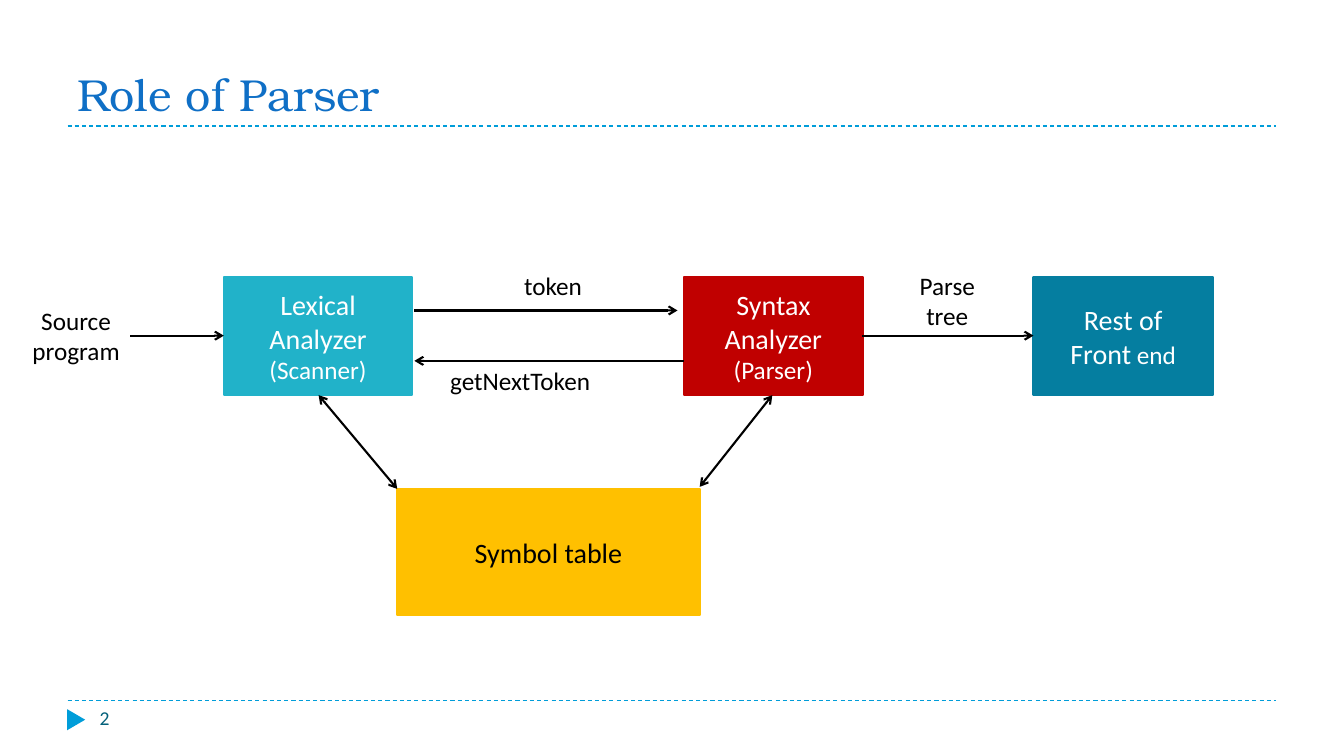
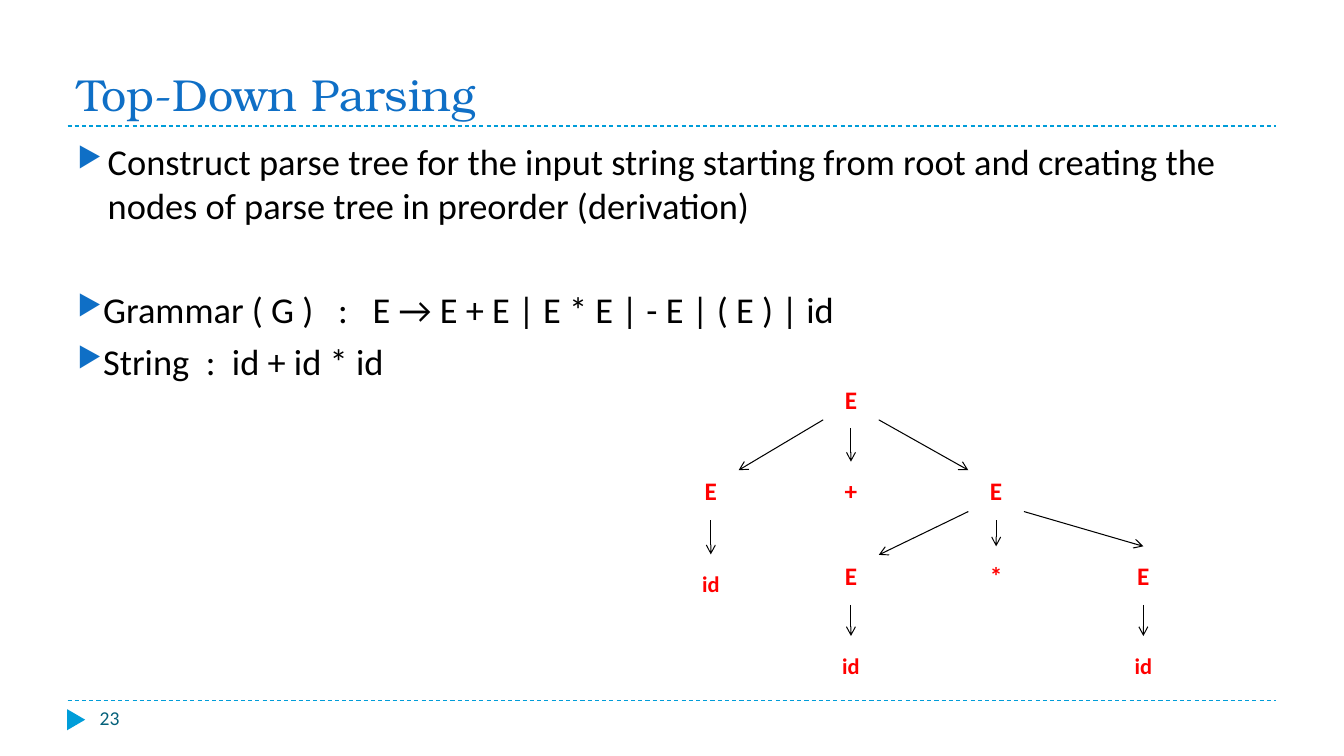
from math import sqrt
from lxml import etree
from pptx import Presentation, util as u
from pptx.dml.color import RGBColor
from pptx.enum import dml, shapes, text
from pptx.oxml.ns import qn

BLACK = RGBColor(0, 0, 0)
WHITE = RGBColor(255, 255, 255)
BLUE = RGBColor(0x0F, 0x6F, 0xC6)
RULE = RGBColor(0x00, 0x9D, 0xD9)
DARK_TEAL = RGBColor(0x04, 0x61, 0x7B)
CYAN = RGBColor(0x21, 0xB2, 0xC9)
CRIMSON = RGBColor(0xC0, 0, 0)
GOLD = RGBColor(0xFF, 0xC0, 0)
TEAL = RGBColor(0x05, 0x7E, 0xA0)
RED = RGBColor(255, 0, 0)
BODY, HEADING = "Calibri", "TeX Gyre Bonum"
SHAPE, ALIGN, ANCHOR = shapes.MSO_SHAPE, text.PP_ALIGN, text.MSO_ANCHOR

PHASES = [
    ((2.22, 2.75, 1.87, 1.17), CYAN, WHITE, [[("Lexical Analyzer", 20)], [("(Scanner)", 18)]]),
    ((6.78, 2.75, 1.78, 1.17), CRIMSON, WHITE, [[("Syntax Analyzer", 20)], [("(Parser)", 18)]]),
    ((10.25, 2.75, 1.78, 1.17), TEAL, WHITE, [[("Rest of", 20)], [("Front", 20), (" end", 18)]]),
    ((3.94, 4.85, 3, 1.25), GOLD, BLACK, [[("Symbol table", 20)]]),
]
LABELS = [
    ((0.22, 2.98, 1.07, 0.71), ["Source", "program"]),
    ((9.02, 2.63, 0.75, 0.71), ["Parse", "tree"]),
    ((5.09, 2.63, 0.79, 0.4), ["token"]),
    ((4.33, 3.58, 1.66, 0.4), ["getNextToken"]),
]
FLOWS = [
    ((1.29, 3.33), (2.22, 3.33), False),
    ((4.11, 3.08), (6.72, 3.08), False),
    ((6.78, 3.58), (4.11, 3.58), False),
    ((8.55, 3.33), (10.25, 3.33), False),
    ((3.16, 3.92), (3.94, 4.85), True),
    ((7.66, 3.92), (6.94, 4.83), True),
]

POINTS = [
    ("Construct parse tree for the input string starting from root and creating the "
     "nodes of parse tree in preorder (derivation)", 0.3, 0),
    ("Grammar ( G )   :   E → E + E | E * E | - E | ( E ) | id", 0, 43.5),
    ("String  :  id + id * id", 0, 6),
]
NODE_W, NODE_H = 0.78, 0.58
COLS = [7.05, 8.44, 9.88, 11.34]
NODES = {
    "root": ("E", 1, 3.67),
    "left": ("E", 0, 4.58),
    "plus": ("+", 1, 4.58),
    "right": ("E", 2, 4.58),
    "left id": ("id", 0, 5.5),
    "factor 1": ("E", 1, 5.42),
    "times": ("*", 2, 5.42),
    "factor 2": ("E", 3, 5.42),
    "id 1": ("id", 1, 6.31),
    "id 2": ("id", 3, 6.31),
}
CHILDREN = {
    "root": ["left", "plus", "right"],
    "left": ["left id"],
    "right": ["factor 1", "times", "factor 2"],
    "factor 1": ["id 1"],
    "factor 2": ["id 2"],
}
TOP_ENTRY = {"factor 2"}


def inches(values):
    return [u.Inches(v) for v in values]


def set_format(obj, **values):
    for name, value in values.items():
        setattr(obj, name, value)


def add_run(p, words, size, color, font=BODY, bold=False):
    r = p.add_run()
    r.text = words
    set_format(r.font, size=u.Pt(size), name=font, bold=bold)
    r.font.color.rgb = color


def write(tf, paragraphs, color, align=ALIGN.LEFT, bold=False):
    for i, runs in enumerate(paragraphs):
        p = tf.add_paragraph() if i else tf.paragraphs[0]
        p.alignment = align
        for words, size in runs:
            add_run(p, words, size, color, bold=bold)


def add_box(s, kind, at, fill=None, line=None):
    sp = s.shapes.add_shape(kind, *inches(at))
    sp.shadow.inherit = False
    if fill is None:
        sp.fill.background()
    else:
        sp.fill.solid()
        sp.fill.fore_color.rgb = fill
    if line is None:
        sp.line.fill.background()
    else:
        sp.line.color.rgb = line
        sp.line.width = u.Pt(1.5)
    sp.text_frame.vertical_anchor = ANCHOR.MIDDLE
    return sp


def add_text(s, at, wrap=True):
    tf = s.shapes.add_textbox(*inches(at)).text_frame
    tf.word_wrap = wrap
    return tf


def add_line(s, start, end, color=BLACK, width=0.75, head=False, tail=True, dash=None):
    cx = s.shapes.add_connector(shapes.MSO_CONNECTOR.STRAIGHT, *inches(start + end))
    cx.line.color.rgb = color
    set_format(cx.line, width=u.Pt(width), dash_style=dash)
    ln = cx.line._get_or_add_ln()
    for tag, shown in (("a:headEnd", head), ("a:tailEnd", tail)):
        if shown:
            etree.SubElement(ln, qn(tag)).set("type", "arrow")
    etree.SubElement(cx._element.spPr, qn("a:effectLst"))


def add_bullet(p, margin):
    pPr = p._p.get_or_add_pPr()
    pPr.set("marL", str(u.Inches(margin)))
    pPr.set("indent", str(-u.Inches(margin)))
    color = etree.SubElement(pPr, qn("a:buClr"))
    etree.SubElement(color, qn("a:srgbClr")).set("val", str(BLUE))
    etree.SubElement(pPr, qn("a:buSzPct")).set("val", "76000")
    etree.SubElement(pPr, qn("a:buChar")).set("char", "▶")


def new_slide(prs, title, number):
    s = prs.slides.add_slide(prs.slide_layouts[5])
    for y in (6.95, 1.25):
        add_line(s, (0.67, y), (12.66, y), RULE, tail=False, dash=dml.MSO_LINE.DASH)
    add_box(s, SHAPE.ISOSCELES_TRIANGLE, (0.65, 7.05, 0.21, 0.18), RULE).rotation = 90
    ph = s.shapes.title
    set_format(ph, **dict(zip(("left", "top", "width", "height"), inches((0.67, 0.17, 12, 1.08)))))
    tf = ph.text_frame
    set_format(tf, vertical_anchor=ANCHOR.BOTTOM, auto_size=text.MSO_AUTO_SIZE.NONE)
    p = tf.paragraphs[0]
    p.alignment = ALIGN.LEFT
    add_run(p, title, 32, BLUE, HEADING)
    write(add_text(s, (0.89, 6.95, 2.89, 0.4)), [[(number, 14)]], DARK_TEAL)
    return s


def role_slide(prs):
    s = new_slide(prs, "Role of Parser", "2")
    for at, fill, color, paragraphs in PHASES:
        sp = add_box(s, SHAPE.RECTANGLE, at, fill, fill)
        write(sp.text_frame, paragraphs, color, ALIGN.CENTER)
    for at, lines in LABELS:
        write(add_text(s, at, wrap=False), [[(line, 18)] for line in lines], BLACK, ALIGN.CENTER)
    for start, end, both in FLOWS:
        add_line(s, start, end, width=1.5, head=both)


def edge_ends(parent, child):
    (_, col, top), (_, child_col, child_top) = NODES[parent], NODES[child]
    side = (child_col > col) - (child_col < col)
    dx = side * NODE_W / 2 / sqrt(2)
    rise = NODE_H / 2 * (1 - 1 / sqrt(2)) if side else 0
    start = (COLS[col] + dx, top + NODE_H - rise)
    if child in TOP_ENTRY:
        return start, (COLS[child_col], child_top)
    return start, (COLS[child_col] - dx, child_top + rise)


def parsing_slide(prs):
    s = new_slide(prs, "Top-Down Parsing", "23")
    tf = add_text(s, (0.67, 1.33, 12, 5.4))
    for i, (words, margin, before) in enumerate(POINTS):
        p = tf.add_paragraph() if i else tf.paragraphs[0]
        p.space_before = u.Pt(before)
        add_bullet(p, margin)
        add_run(p, words, 26, BLACK)
    for label, col, top in NODES.values():
        sp = add_box(s, SHAPE.OVAL, (COLS[col] - NODE_W / 2, top, NODE_W, NODE_H))
        size = 16 if label == "id" else 18
        write(sp.text_frame, [[(label, size)]], RED, ALIGN.CENTER, bold=True)
    for parent, children in CHILDREN.items():
        for child in children:
            add_line(s, *edge_ends(parent, child))


def main():
    prs = Presentation()
    set_format(prs, slide_width=u.Inches(13.33), slide_height=u.Inches(7.5))
    role_slide(prs)
    parsing_slide(prs)
    prs.save("out.pptx")


if __name__ == "__main__":
    main()
